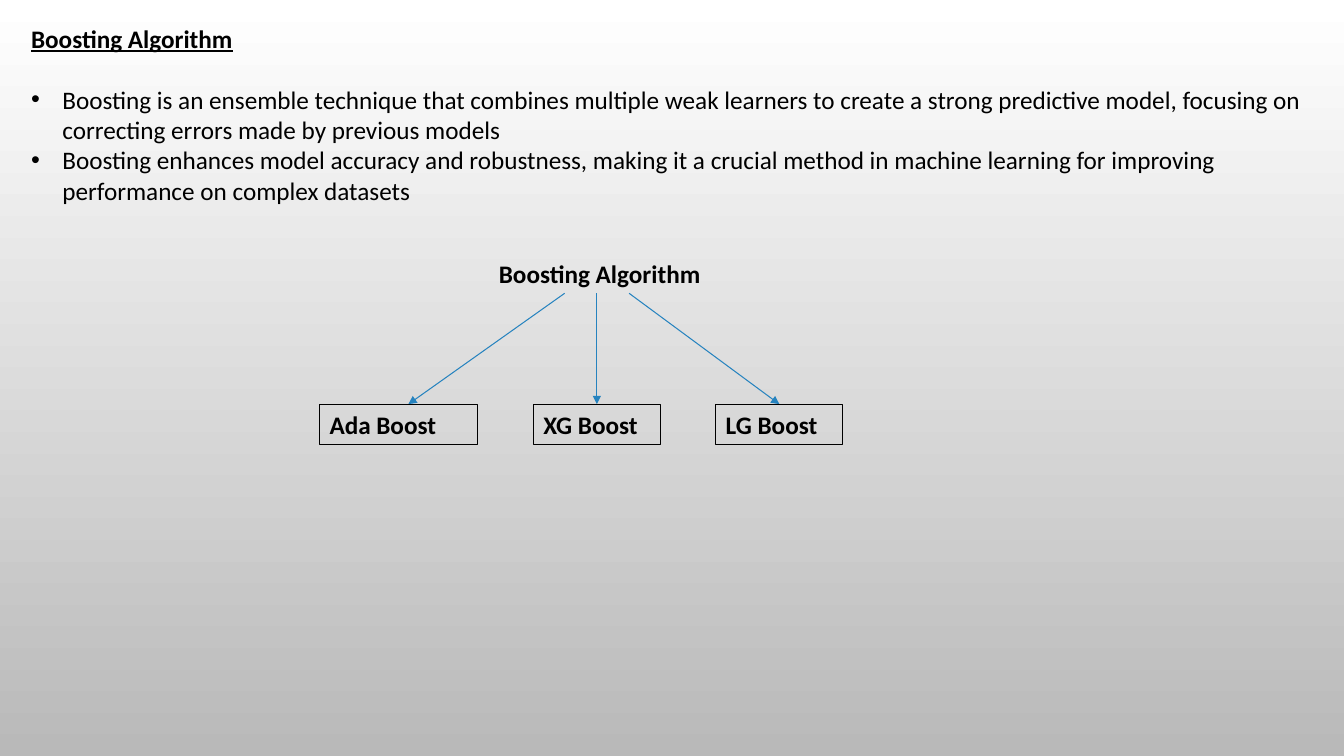
import pptx
import pptx.dml.color
import pptx.enum.shapes
import pptx.enum.text
import pptx.oxml
import pptx.oxml.ns
import pptx.util
from pptx.util import Inches

HEADING = "Boosting Algorithm"
BULLETS = [
    "Boosting is an ensemble technique that combines multiple weak learners to create a strong "
    "predictive model, focusing on correcting errors made by previous models",
    "Boosting enhances model accuracy and robustness, making it a crucial method in machine "
    "learning for improving performance on complex datasets",
]
# label, box left, box width, arrow tip x
METHODS = [
    ("Ada Boost", 3.17, 1.57, 4.05),
    ("XG Boost", 5.29, 1.26, 5.92),
    ("LG Boost", 7.1, 1.26, 7.73),
]
THEME = {
    "font": "Calibri",
    "size": 18,
    "heading_gap": 22,
    "text": "000000",
    "arrow": "2683BF",
    "line_width": 0.75,
    "background": ("FFFFFF", "B9B9B9"),
}
ROOT_TOP, BOX_TOP, BOX_HEIGHT = 2.51, 4.01, 0.4
ROOT_CENTER, ARROW_SPREAD = 5.92, 0.32
BULLET_INDENT = 0.31


def color(name):
    return pptx.dml.color.RGBColor.from_string(name)


def add_text(paragraph, text, bold=False, underline=False, bullet=False, space_after=0):
    paragraph.alignment = pptx.enum.text.PP_ALIGN.LEFT
    paragraph.space_after = pptx.util.Pt(space_after)
    run = paragraph.add_run()
    run.text = text
    run.font.name = THEME["font"]
    run.font.size = pptx.util.Pt(THEME["size"])
    run.font.color.rgb = color(THEME["text"])
    run.font.bold = bold
    run.font.underline = underline
    if bullet:
        properties = paragraph._p.get_or_add_pPr()
        properties.set("marL", str(Inches(BULLET_INDENT)))
        properties.set("indent", str(-Inches(BULLET_INDENT)))
        for tag, key, value in (("a:buFont", "typeface", "Arial"), ("a:buChar", "char", "•")):
            element = pptx.oxml.parse_xml(f"<{tag} {pptx.oxml.ns.nsdecls('a')}/>")
            element.set(key, value)
            properties.append(element)


def prepare_frame(shape):
    frame = shape.text_frame
    frame.word_wrap = True
    frame.auto_size = pptx.enum.text.MSO_AUTO_SIZE.SHAPE_TO_FIT_TEXT
    frame.vertical_anchor = pptx.enum.text.MSO_ANCHOR.TOP
    return frame


def add_text_box(slide, left, top, width, height):
    box = slide.shapes.add_textbox(Inches(left), Inches(top), Inches(width), Inches(height))
    return prepare_frame(box)


def add_arrow(slide, start_x, start_y, end_x, end_y):
    arrow = slide.shapes.add_connector(
        pptx.enum.shapes.MSO_CONNECTOR.STRAIGHT,
        Inches(start_x), Inches(start_y), Inches(end_x), Inches(end_y))
    arrow.line.color.rgb = color(THEME["arrow"])
    arrow.line.width = pptx.util.Pt(THEME["line_width"])
    namespace = pptx.oxml.ns.nsdecls("a")
    arrow.line._get_or_add_ln().append(
        pptx.oxml.parse_xml(f'<a:tailEnd {namespace} type="triangle"/>'))
    arrow._element.spPr.append(pptx.oxml.parse_xml(f"<a:effectLst {namespace}/>"))


def add_method_box(slide, label, left, width):
    box = slide.shapes.add_shape(
        pptx.enum.shapes.MSO_SHAPE.RECTANGLE,
        Inches(left), Inches(BOX_TOP), Inches(width), Inches(BOX_HEIGHT))
    box.shadow.inherit = False
    box.fill.background()
    box.line.color.rgb = color(THEME["text"])
    box.line.width = pptx.util.Pt(THEME["line_width"])
    add_text(prepare_frame(box).paragraphs[0], label, bold=True)


def paint_background(slide):
    fill = slide.background.fill
    fill.gradient()
    fill.gradient_angle = 270
    for stop, position, name in zip(fill.gradient_stops, (0, 1), THEME["background"]):
        stop.position = position
        stop.color.rgb = color(name)


def main():
    presentation = pptx.Presentation()
    presentation.slide_width = Inches(13.33)
    presentation.slide_height = Inches(7.5)
    slide = presentation.slides.add_slide(presentation.slide_layouts[6])
    paint_background(slide)

    introduction = add_text_box(slide, 0.21, 0.18, 13.12, 2.52)
    add_text(introduction.paragraphs[0], HEADING, bold=True, underline=True,
             space_after=THEME["heading_gap"])
    for bullet in BULLETS:
        add_text(introduction.add_paragraph(), bullet, bullet=True)

    root = add_text_box(slide, 4.85, ROOT_TOP, 2.56, BOX_HEIGHT)
    add_text(root.paragraphs[0], HEADING, bold=True)

    for index, (label, left, width, tip) in enumerate(METHODS):
        start = ROOT_CENTER + (index - 1) * ARROW_SPREAD
        add_arrow(slide, start, ROOT_TOP + BOX_HEIGHT, tip, BOX_TOP)
        add_method_box(slide, label, left, width)

    presentation.save("out.pptx")


if __name__ == "__main__":
    main()
